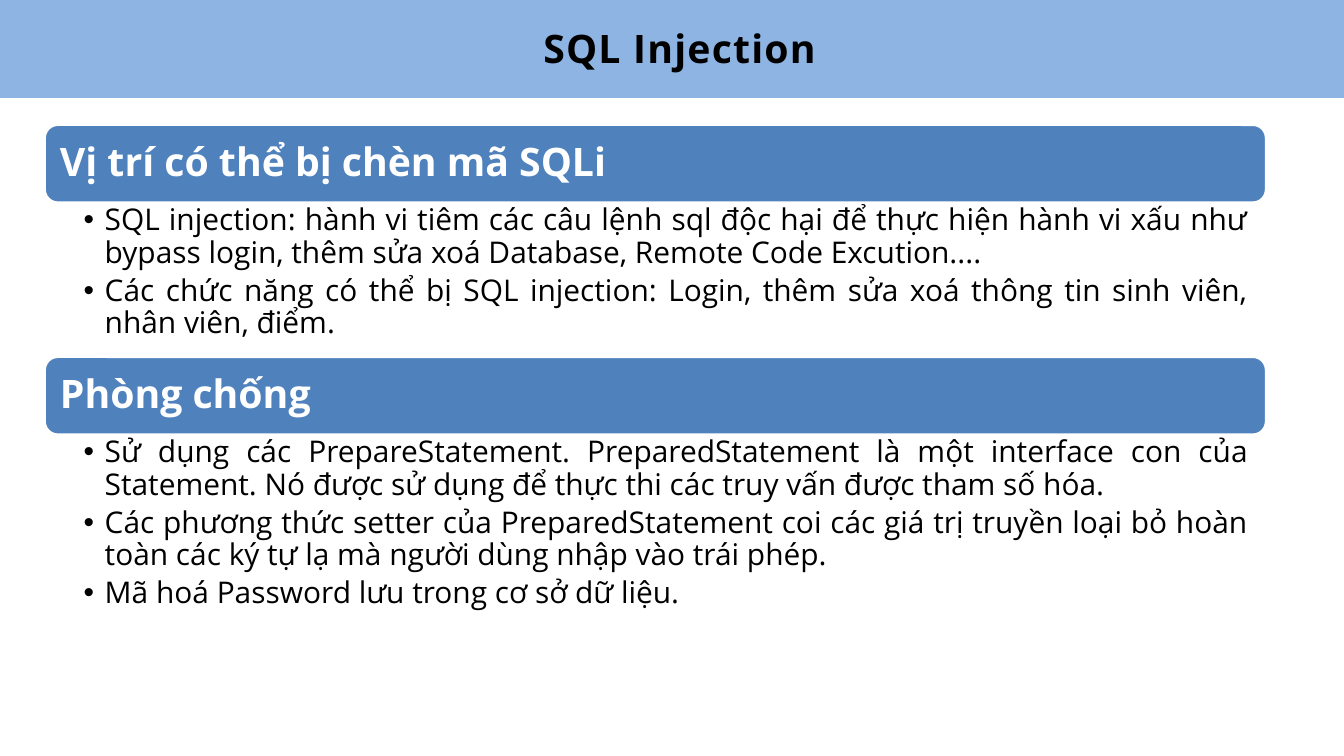
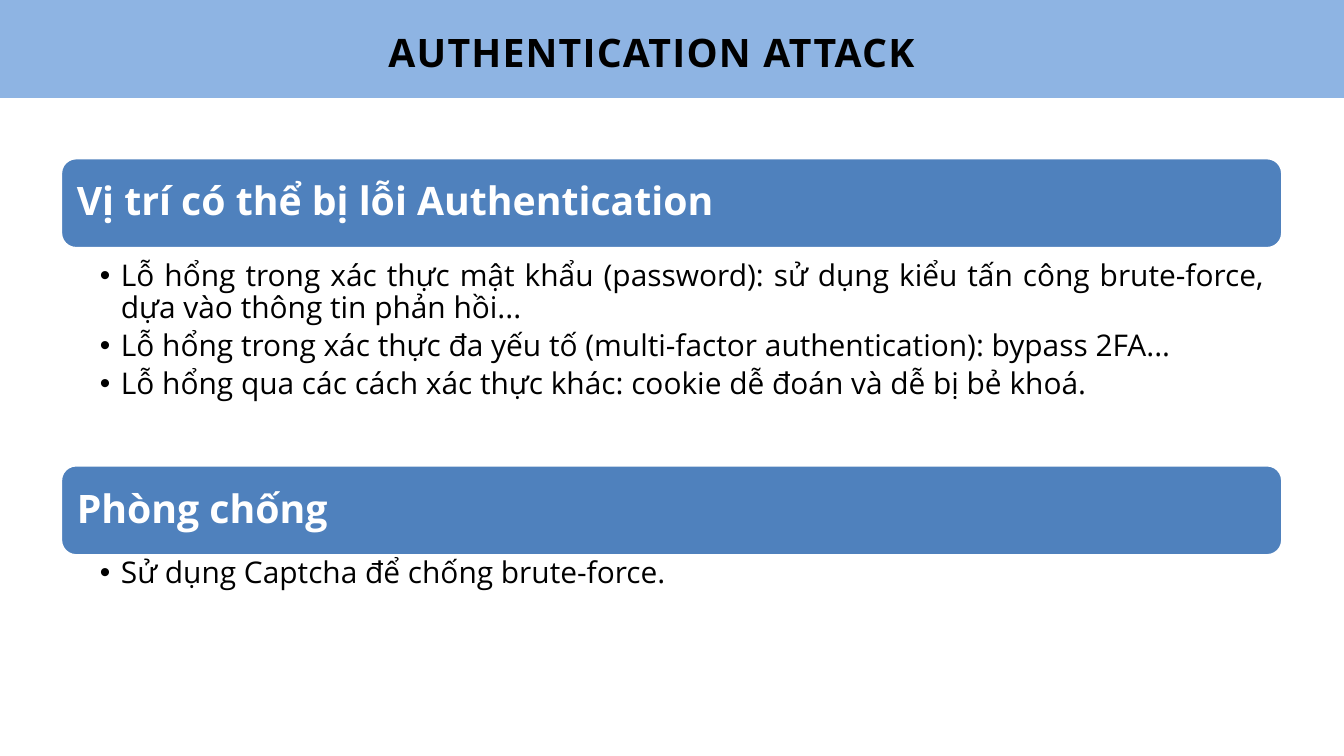
from dataclasses import dataclass

from lxml.etree import SubElement
from pptx import Presentation
from pptx.dml.color import RGBColor
from pptx.enum.shapes import MSO_SHAPE
from pptx.enum.text import MSO_ANCHOR, MSO_AUTO_SIZE, PP_ALIGN
from pptx.oxml.ns import qn
from pptx.util import Pt


@dataclass(frozen=True)
class Theme:
    font: str = "Open Sans"
    band: RGBColor = RGBColor(0x8E, 0xB4, 0xE3)
    bar: RGBColor = RGBColor(0x4F, 0x81, 0xBD)
    light: RGBColor = RGBColor(0xFF, 0xFF, 0xFF)
    dark: RGBColor = RGBColor(0x00, 0x00, 0x00)
    heading_size: int = 42
    body_size: int = 32
    line_spacing: float = 0.9


THEME = Theme()
SECTION_WIDTH = 1308

SLIDES = [
    {
        "title": "SQL Injection",
        "title_at": (264.5, 30),
        "left": 48.2,
        "top": 134,
        "bar_height": 82.8,
        "sections": [
            ("Vị trí có thể bị chèn mã SQLi", 0, 165.8, [
                "SQL injection: hành vi tiêm các câu lệnh sql độc hại để thực hiện hành vi xấu như bypass login, thêm sửa xoá Database, Remote Code Excution....",
                "Các chức năng có thể bị SQL injection: Login, thêm sửa xoá thông tin sinh viên, nhân viên, điểm.",
            ]),
            ("Phòng chống", 0, 249.8, [
                "Sử dụng các PrepareStatement. PreparedStatement là một interface con của Statement. Nó được sử dụng để thực thi các truy vấn được tham số hóa.",
                "Các phương thức setter của PreparedStatement coi các giá trị truyền loại bỏ hoàn toàn các ký tự lạ mà người dùng nhập vào trái phép.",
                "Mã hoá Password lưu trong cơ sở dữ liệu.",
            ]),
        ],
    },
    {
        "title": "AUTHENTICATION ATTACK",
        "title_at": (234.5, 34.5),
        "left": 65.6,
        "top": 169.8,
        "bar_height": 95.8,
        "sections": [
            ("Vị trí có thể bị lỗi Authentication", 10.8, 222.5, [
                "Lỗ hổng trong xác thực mật khẩu (password): sử dụng kiểu tấn công brute-force, dựa vào thông tin phản hồi...",
                "Lỗ hổng trong xác thực đa yếu tố (multi-factor authentication): bypass 2FA...",
                "Lỗ hổng qua các cách xác thực khác: cookie dễ đoán và dễ bị bẻ khoá.",
            ]),
            ("Phòng chống", 0, 85, [
                "Sử dụng Captcha để chống brute-force.",
            ]),
        ],
    },
]


def set_frame(frame, anchor, left=0, top=0, right=0, bottom=0):
    frame.word_wrap = True
    frame.auto_size = MSO_AUTO_SIZE.NONE
    frame.vertical_anchor = anchor
    frame.margin_left, frame.margin_top = Pt(left), Pt(top)
    frame.margin_right, frame.margin_bottom = Pt(right), Pt(bottom)


def style_paragraph(paragraph, size, color, bold, align, spacing=THEME.line_spacing):
    paragraph.alignment = align
    paragraph.line_spacing = spacing
    for run in paragraph.runs:
        run.font.name = THEME.font
        run.font.size = Pt(size)
        run.font.bold = bold
        run.font.color.rgb = color


deck = Presentation()
deck.slide_width, deck.slide_height = Pt(1440), Pt(810)

for content in SLIDES:
    slide = deck.slides.add_slide(deck.slide_layouts[5])

    band = slide.shapes.add_shape(MSO_SHAPE.RECTANGLE, Pt(-1.4), Pt(0), Pt(1441.4), Pt(105))
    band.shadow.inherit = False
    band.fill.solid()
    band.fill.fore_color.rgb = THEME.band
    band.line.fill.background()
    slide.shapes._spTree.insert(2, band._element)

    title = slide.shapes.title
    title.left, title.top = (Pt(value) for value in content["title_at"])
    title.width, title.height = Pt(927.5), Pt(46.8)
    title.text_frame.text = content["title"]
    set_frame(title.text_frame, MSO_ANCHOR.TOP)
    heading = title.text_frame.paragraphs[0]
    style_paragraph(heading, THEME.heading_size, THEME.dark, True, PP_ALIGN.CENTER, Pt(46.2))
    heading.runs[0].font._element.set("spc", "130")

    left, top, bar_height = content["left"], content["top"], content["bar_height"]
    for caption, gap, body_height, points in content["sections"]:
        bar = slide.shapes.add_shape(
            MSO_SHAPE.ROUNDED_RECTANGLE, Pt(left), Pt(top), Pt(SECTION_WIDTH), Pt(bar_height))
        bar.shadow.inherit = False
        bar.fill.solid()
        bar.fill.fore_color.rgb = THEME.bar
        bar.line.color.rgb = THEME.light
        bar.line.width = Pt(2)
        bar.text_frame.text = caption
        set_frame(bar.text_frame, MSO_ANCHOR.MIDDLE, 12, 12, 12, 12)
        style_paragraph(bar.text_frame.paragraphs[0], THEME.heading_size, THEME.light, True,
                        PP_ALIGN.LEFT)
        top += bar_height + gap

        body = slide.shapes.add_textbox(Pt(left), Pt(top), Pt(SECTION_WIDTH), Pt(body_height))
        body.text_frame.text = "\n".join(points)
        set_frame(body.text_frame, MSO_ANCHOR.TOP, 41.5, 3, 18, 3)
        for point in body.text_frame.paragraphs:
            style_paragraph(point, THEME.body_size, THEME.dark, False, PP_ALIGN.JUSTIFY)
            point.level = 1
            point.space_after = Pt(6)
            properties = point._p.get_or_add_pPr()
            properties.set("marL", str(Pt(22.5)))
            properties.set("indent", str(Pt(-22.5)))
            SubElement(properties, qn("a:buFont"), typeface="Arial")
            SubElement(properties, qn("a:buChar"), char="•")
        top += body_height

deck.save("out.pptx")
